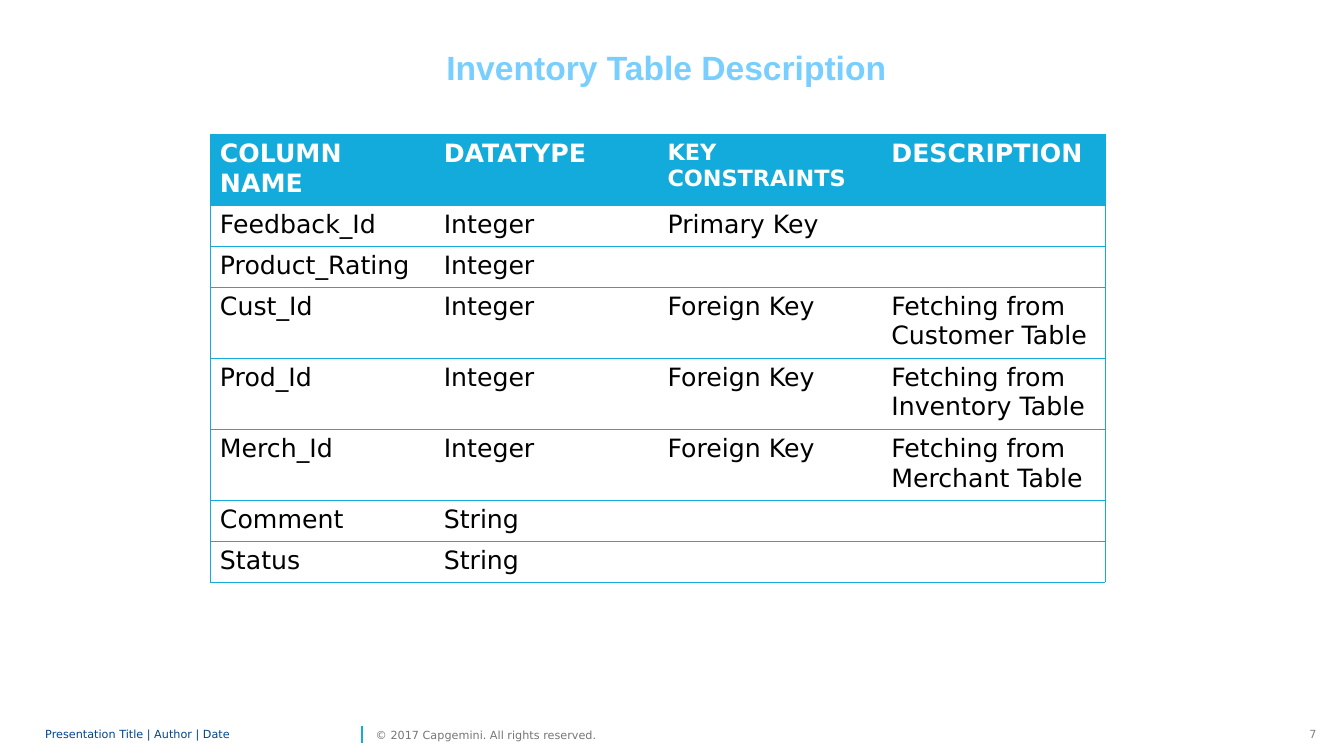
import pptx
import pptx.util
import pptx.dml.color
import pptx.enum.shapes
import pptx.enum.text
import pptx.oxml.ns
from lxml import etree

Cm, Pt = pptx.util.Cm, pptx.util.Pt
RGB = pptx.dml.color.RGBColor
ALIGN = pptx.enum.text.PP_ALIGN
ANCHOR = pptx.enum.text.MSO_ANCHOR
qn = pptx.oxml.ns.qn

CYAN = RGB(0x12, 0xAB, 0xDB)
SKY = RGB(0x78, 0xCF, 0xFF)
NAVY = RGB(0x00, 0x45, 0x8D)
GRAY = RGB(0x80, 0x80, 0x80)
DIM = RGB(0x76, 0x76, 0x76)
BLACK = RGB(0, 0, 0)
WHITE = RGB(0xFF, 0xFF, 0xFF)

TITLE = "Inventory Table Description"
AUTHOR = "Presentation Title | Author | Date"
RIGHTS = "© 2017 Capgemini. All rights reserved."
PAGE = "7"
HEAD = ["COLUMN NAME", "DATATYPE", "KEY CONSTRAINTS", "DESCRIPTION"]
ROWS = [
    ["Feedback_Id", "Integer", "Primary Key", ""],
    ["Product_Rating", "Integer", "", ""],
    ["Cust_Id", "Integer", "Foreign Key", "Fetching from Customer Table"],
    ["Prod_Id", "Integer", "Foreign Key", "Fetching from Inventory Table"],
    ["Merch_Id", "Integer", "Foreign Key", "Fetching from Merchant Table"],
    ["Comment", "String", "", ""],
    ["Status", "String", "", ""],
]
HEADSIZE = [18, 18, 16, 18]
COLWIDTH = Cm(5.64)
LOW, TALL = Cm(1.03), Cm(1.79)


def write(frame, text, size=18, color=BLACK, bold=False, font="DejaVu Sans",
          align=ALIGN.LEFT, space=None):
    para = frame.paragraphs[0]
    para.alignment = align
    if space:
        para.line_spacing = space
    if not text:
        return
    run = para.add_run()
    run.text = text
    run.font.size = Pt(size)
    run.font.name = font
    run.font.bold = bold
    run.font.color.rgb = color


def label(slide, box, text, wrap=True, inset=True, **style):
    frame = slide.shapes.add_textbox(*[Cm(v) for v in box]).text_frame
    frame.word_wrap = wrap
    if not inset:
        frame.margin_left = frame.margin_right = 0
        frame.margin_top = frame.margin_bottom = 0
        frame.vertical_anchor = ANCHOR.MIDDLE
    write(frame, text, **style)


def border(cell, sides):
    """Draw the named sides (from L, R, T, B) and hide the others."""
    props = cell._tc.get_or_add_tcPr()
    for side in "LRTB":
        line = etree.SubElement(props, qn("a:ln" + side), w=str(Pt(0.5)))
        if side in sides:
            fill = etree.SubElement(line, qn("a:solidFill"))
            etree.SubElement(fill, qn("a:srgbClr"), val=str(CYAN))
        else:
            etree.SubElement(line, qn("a:noFill"))


def grid(slide):
    data = [HEAD] + ROWS
    last = len(HEAD) - 1
    heights = [TALL if i == 0 or row[last] else LOW
               for i, row in enumerate(data)]
    table = slide.shapes.add_table(
        len(data), len(HEAD), Cm(5.29), Cm(3.39),
        COLWIDTH * len(HEAD), sum(heights)).table
    table.horz_banding = False
    for col in table.columns:
        col.width = COLWIDTH
    for i, row in enumerate(data):
        table.rows[i].height = heights[i]
        for j, text in enumerate(row):
            cell = table.cell(i, j)
            border(cell, "TB" + "L" * (j == 0) + "R" * (j == last))
            if i == 0:
                cell.fill.solid()
                cell.fill.fore_color.rgb = CYAN
                write(cell.text_frame, text, size=HEADSIZE[j],
                      color=WHITE, bold=True)
            else:
                cell.fill.background()
                write(cell.text_frame, text)


def footer(slide):
    label(slide, (32.74, 18.21, 0.69, 0.61), PAGE, wrap=False, size=8,
          color=GRAY, align=ALIGN.RIGHT)
    rule = slide.shapes.add_connector(
        pptx.enum.shapes.MSO_CONNECTOR.STRAIGHT,
        Cm(9.12), Cm(18.72), Cm(9.12), Cm(18.29))
    rule.line.color.rgb = CYAN
    rule.line.width = Pt(1)
    etree.SubElement(rule._element.spPr, qn("a:effectLst"))
    label(slide, (1.14, 18.21, 7.85, 0.61), AUTHOR, inset=False, size=8,
          color=NAVY, space=0.85)
    label(slide, (9.47, 18.21, 6.17, 0.61), RIGHTS, wrap=False, inset=False,
          size=8, color=DIM)


def main():
    deck = pptx.Presentation()
    deck.slide_width, deck.slide_height = Cm(33.87), Cm(19.05)
    slide = deck.slides.add_slide(deck.slide_layouts[6])
    footer(slide)
    label(slide, (11, 1.07, 13.54, 1.27), TITLE, size=24, color=SKY,
          bold=True, font="Arial")
    grid(slide)
    deck.save("out.pptx")


if __name__ == "__main__":
    main()
